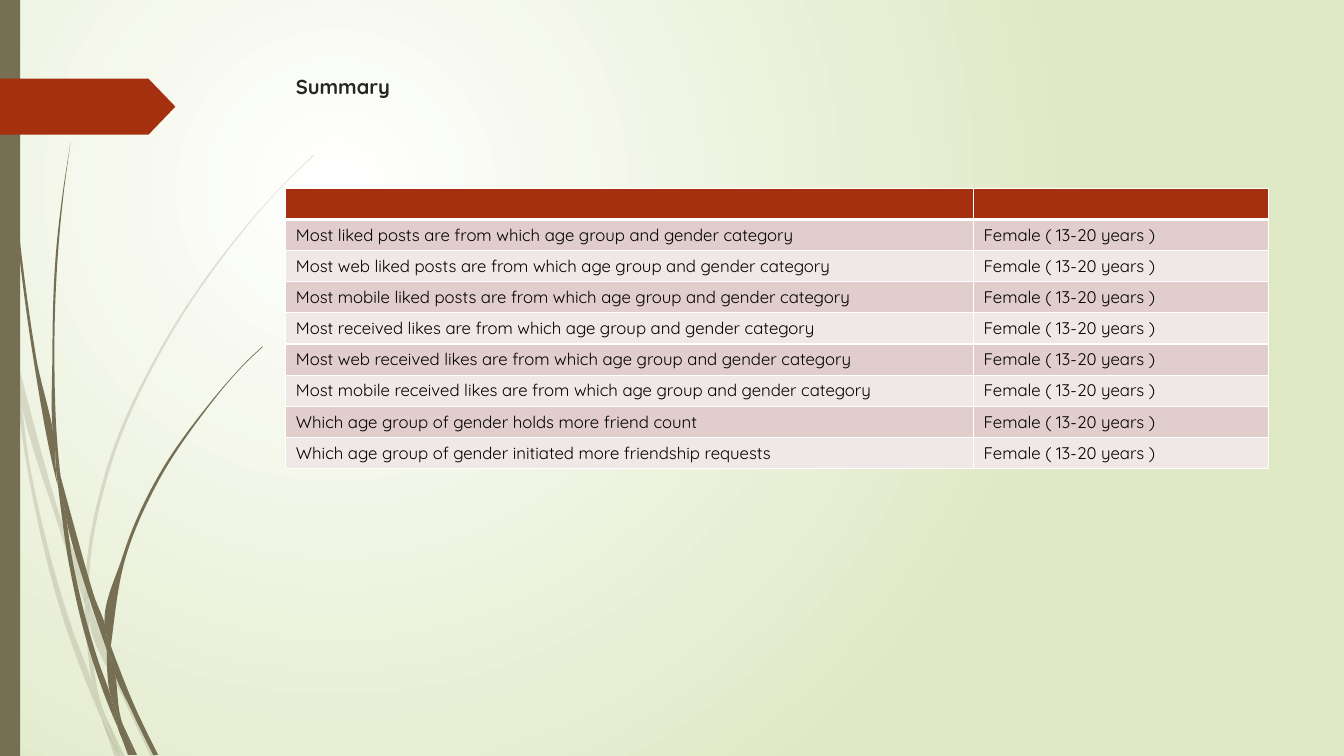
from math import hypot

from lxml import etree
from pptx import Presentation
from pptx.dml.color import RGBColor
from pptx.enum.shapes import MSO_SHAPE
from pptx.enum.text import MSO_ANCHOR
from pptx.oxml.ns import qn
from pptx.util import Pt

RECT, TAG = MSO_SHAPE.RECTANGLE, MSO_SHAPE.PENTAGON
TOP = MSO_ANCHOR.TOP

WHITE = RGBColor(0xFF, 0xFF, 0xFF)
BLACK = RGBColor(0, 0, 0)
INK = RGBColor(0x26, 0x26, 0x26)
GREEN = RGBColor(0xDF, 0xE8, 0xC4)
OLIVE = RGBColor(0x76, 0x6F, 0x54)
RUST = RGBColor(0xA5, 0x30, 0x10)
ROSE = RGBColor(0xE1, 0xCD, 0xCC)
PALE = RGBColor(0xF0, 0xE8, 0xE7)

FONT = "Quicksand"
TITLE = "Summary"
ANSWER = "Female ( 13-20 years )"
ASKED = [
    "Most liked posts are from which age group and gender category",
    "Most web liked posts are from which age group and gender category",
    "Most mobile liked posts are from which age group and gender category",
    "Most received likes are from which age group and gender category",
    "Most web received likes are from which age group and gender category",
    "Most mobile received likes are from which age group and gender category",
    "Which age group of gender holds more friend count",
    "Which age group of gender initiated more friendship requests",
]
ROWS = [("", "")] + [(ask, ANSWER) for ask in ASKED]

# Grass: corner points of each piece, in steps of 0.72 points
FADED = [
    [(11, 350), (9, 322), (0, 282), (0, 299), (10, 344)],
    [(58, 522), (84, 599), (85, 586), (62, 520), (14, 345), (17, 376)],
    [(92, 607), (88, 596), (88, 610), (123, 694), (150, 751), (155, 751),
     (127, 692)],
    [(119, 751), (124, 751), (105, 711)],
    [(93, 683), (70, 619), (31, 469), (17, 376), (11, 350), (28, 470),
     (65, 621), (92, 693), (101, 714), (99, 707)],
    [(84, 599), (87, 646), (93, 683), (96, 692), (105, 711), (103, 706),
     (91, 646), (88, 610), (88, 608)],
    [(88, 584), (110, 462), (160, 349), (229, 245), (268, 198), (290, 175),
     (312, 154), (312, 153), (289, 175), (268, 197), (228, 244), (158, 348),
     (107, 461), (85, 584), (85, 586), (88, 596)],
    [(101, 714), (114, 751), (119, 751)],
    [(88, 608), (88, 610), (88, 596), (85, 586), (84, 599)],
    [(96, 692), (93, 683), (99, 707), (101, 714), (119, 751), (105, 711)],
]
SOLID = [
    [(7, 110), (17, 233), (33, 355), (56, 477), (57, 481), (55, 457),
     (55, 453), (36, 355), (19, 232), (8, 109), (5, 48), (4, 0), (3, 0),
     (4, 48)],
    [(88, 592), (106, 645), (106, 633), (106, 631), (93, 590), (60, 472),
     (64, 505)],
    [(113, 649), (110, 641), (111, 656), (132, 708), (152, 749), (157, 749),
     (136, 706)],
    [(110, 691), (98, 657), (72, 556), (64, 505), (57, 477), (68, 557),
     (93, 659), (111, 708), (117, 722), (116, 717)],
    [(60, 472), (58, 453), (54, 349), (58, 245), (63, 193), (70, 141),
     (62, 193), (56, 245), (52, 349), (55, 449)],
    [(133, 749), (136, 749), (122, 719)],
    [(57, 477), (64, 505), (60, 472), (55, 449), (55, 453)],
    [(111, 633), (125, 552), (158, 476), (205, 406), (231, 374), (245, 359),
     (261, 344), (260, 344), (245, 358), (231, 373), (204, 405), (156, 474),
     (122, 551), (106, 631), (110, 641)],
    [(117, 722), (127, 749), (131, 749)],
    [(106, 645), (110, 691), (116, 706), (122, 719), (121, 716), (111, 656),
     (109, 651)],
    [(106, 645), (109, 651), (111, 656), (110, 641), (106, 631), (106, 633)],
    [(116, 706), (110, 691), (116, 717), (117, 722), (130, 749), (133, 749),
     (122, 719)],
]

UNIT = 0.72
WIDE, HIGH = 960, 540
LEFT, SPAN = 204.2, 702
TITLE_Y, TITLE_H = 49.6, 26.6
GRID_Y, ROW_H = 134.6, 22.25
COLS = (491.3, SPAN - 491.3)


def write(frame, text, size=12, color=BLACK, bold=False):
    para = frame.paragraphs[0]
    if not text:
        # An empty cell keeps its line height through the end mark
        etree.SubElement(para._p, qn("a:endParaRPr"), sz=str(size * 100))
        return
    run = para.add_run()
    run.text = text
    run.font.name, run.font.size = FONT, Pt(size)
    run.font.color.rgb, run.font.bold = color, bold


def paint(shape, color, alpha=100):
    shape.shadow.inherit = False
    shape.line.fill.background()
    shape.fill.solid()
    shape.fill.fore_color.rgb = color
    if alpha < 100:
        tone = shape._element.spPr.find(".//" + qn("a:srgbClr"))
        etree.SubElement(tone, qn("a:alpha"), val=str(alpha * 1000))


def lean(a, b, c):
    """Unit direction of the outline at b, or zero at a sharp corner."""
    p, q = hypot(b[0] - a[0], b[1] - a[1]), hypot(c[0] - b[0], c[1] - b[1])
    ux, uy = (b[0] - a[0]) / p, (b[1] - a[1]) / p
    vx, vy = (c[0] - b[0]) / q, (c[1] - b[1]) / q
    if ux * vx + uy * vy < 0.8:
        return 0, 0
    # The nearer neighbour weighs more
    x, y = ux * q + vx * p, uy * q + vy * p
    return x / hypot(x, y), y / hypot(x, y)


def blade(shapes, nodes, alpha):
    """Draw one closed piece of grass with rounded sides."""
    pts = [(Pt(x * UNIT), Pt(y * UNIT)) for x, y in nodes]
    size = len(pts)
    form = shapes.build_freeform(*pts[0], scale=1.0)
    form.add_line_segments(pts[1:] + pts[:1], close=True)
    shape = form.convert_to_shape()
    paint(shape, OLIVE, alpha)
    left, top = min(x for x, y in pts), min(y for x, y in pts)
    leans = [lean(pts[i - 1], pts[i], pts[(i + 1) % size])
             for i in range(size)]
    for i, side in enumerate(shape._element.findall(".//" + qn("a:lnTo"))):
        j = (i + 1) % size
        (xa, ya), (xb, yb) = pts[i], pts[j]
        pull = hypot(xb - xa, yb - ya) / 3
        side.tag = qn("a:cubicBezTo")
        side.clear()
        for x, y in ((xa + leans[i][0] * pull, ya + leans[i][1] * pull),
                     (xb - leans[j][0] * pull, yb - leans[j][1] * pull),
                     (xb, yb)):
            etree.SubElement(side, qn("a:pt"), x=str(round(x - left)),
                             y=str(round(y - top)))


def glow(slide):
    """Fill the background with a round gradient, white at upper left."""
    fill = slide.background.fill
    fill.gradient()
    for stop, color, place in zip(fill.gradient_stops, (WHITE, GREEN), (0, 1)):
        stop.color.rgb, stop.position = color, place
    grad = slide.element.find(".//" + qn("a:gradFill"))
    ring = etree.Element(qn("a:path"), {"path": "circle"})
    etree.SubElement(ring, qn("a:fillToRect"),
                     l="50000", t="50000", r="100000", b="100000")
    grad.replace(grad.find(qn("a:lin")), ring)


def rule(cell, **widths):
    """Draw white cell borders; widths are points per side L, R, T, B."""
    props = cell._tc.get_or_add_tcPr()
    for i, (side, width) in enumerate(widths.items()):
        line = etree.Element(qn("a:ln" + side), w=str(Pt(width)))
        solid = etree.SubElement(line, qn("a:solidFill"))
        etree.SubElement(solid, qn("a:srgbClr"), val=str(WHITE))
        props.insert(i, line)


def grid(shapes):
    table = shapes.add_table(len(ROWS), len(COLS), Pt(LEFT), Pt(GRID_Y),
                             Pt(SPAN), Pt(ROW_H * len(ROWS))).table
    for col, width in zip(table.columns, COLS):
        col.width = Pt(width)
    for r, texts in enumerate(ROWS):
        table.rows[r].height = Pt(ROW_H)
        color = RUST if r == 0 else ROSE if r % 2 else PALE
        for c, text in enumerate(texts):
            cell = table.cell(r, c)
            write(cell.text_frame, text)
            cell.fill.solid()
            cell.fill.fore_color.rgb = color
            rule(cell, L=1, R=1, T=3 if r == 1 else 1, B=3 if r == 0 else 1)


deck = Presentation()
deck.slide_width, deck.slide_height = Pt(WIDE), Pt(HIGH)
slide = deck.slides.add_slide(deck.slide_layouts[6])
shapes = slide.shapes
glow(slide)
for pieces, alpha in ((FADED, 20), (SOLID, 100)):
    for nodes in pieces:
        blade(shapes, nodes, alpha)
paint(shapes.add_shape(RECT, 0, 0, Pt(14.4), Pt(HIGH)), OLIVE)
tag = shapes.add_shape(TAG, 0, Pt(56.2), Pt(125.3), Pt(40))
tag.adjustments[0] = 0.48
paint(tag, RUST)
frame = shapes.add_textbox(Pt(LEFT), Pt(TITLE_Y),
                           Pt(SPAN), Pt(TITLE_H)).text_frame
frame.word_wrap, frame.vertical_anchor = True, TOP
write(frame, TITLE, size=14.4, color=INK, bold=True)
grid(shapes)
deck.save("out.pptx")
